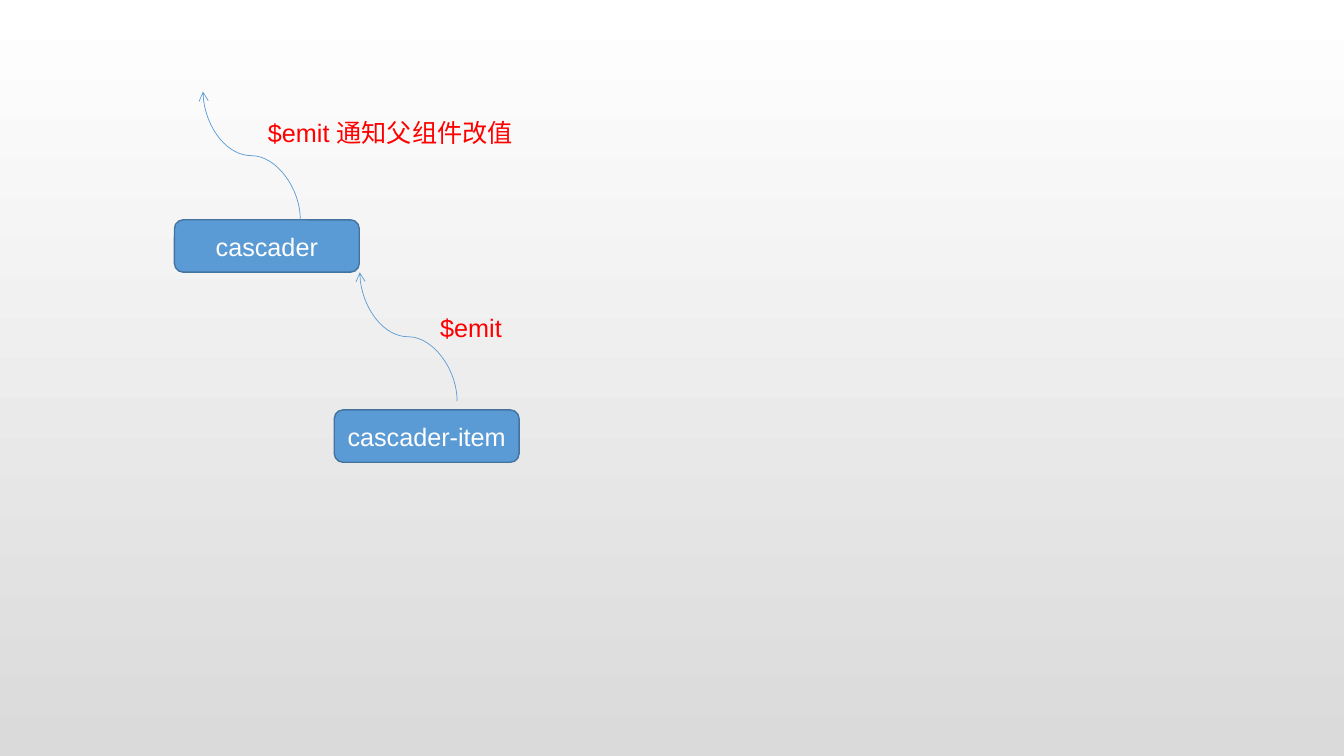
from dataclasses import dataclass

from lxml import etree
from pptx import Presentation
from pptx.dml.color import RGBColor
from pptx.enum.shapes import MSO_CONNECTOR, MSO_SHAPE
from pptx.enum.text import MSO_ANCHOR, MSO_AUTO_SIZE, PP_ALIGN
from pptx.oxml.ns import qn
from pptx.util import Pt

ROUNDED = MSO_SHAPE.ROUNDED_RECTANGLE
CURVE = MSO_CONNECTOR.CURVE
MIDDLE = MSO_ANCHOR.MIDDLE
GROW = MSO_AUTO_SIZE.SHAPE_TO_FIT_TEXT
CENTER, LEFT = PP_ALIGN.CENTER, PP_ALIGN.LEFT


@dataclass(frozen=True)
class Theme:
    """Colours and type of the slide."""
    font: str = "Arial"
    size: int = 18
    blue: RGBColor = RGBColor(0x5B, 0x9B, 0xD5)
    outline: RGBColor = RGBColor(0x43, 0x73, 0x9E)
    red: RGBColor = RGBColor(0xFF, 0, 0)
    white: RGBColor = RGBColor(0xFF, 0xFF, 0xFF)
    grey: RGBColor = RGBColor(0xDA, 0xDA, 0xDA)


THEME = Theme()


def write(frame, text, color, align):
    """Put one styled run into a text frame."""
    paragraph = frame.paragraphs[0]
    paragraph.alignment = align
    run = paragraph.add_run()
    run.text = text
    run.font.name = THEME.font
    run.font.size = Pt(THEME.size)
    run.font.color.rgb = color


def add_emit_arrow(shapes, start_x, start_y, end_x, end_y):
    """Draw a curved arrow that leaves and arrives vertically."""
    # The curve is laid out sideways around its centre, then turned upright.
    center_x, center_y = (start_x + end_x) / 2, (start_y + end_y) / 2
    half_run, half_rise = (start_y - end_y) / 2, (start_x - end_x) / 2
    arrow = shapes.add_connector(
        CURVE,
        Pt(center_x - half_run), Pt(center_y + half_rise),
        Pt(center_x + half_run), Pt(center_y - half_rise))
    arrow.line.color.rgb = THEME.blue
    arrow.line.width = Pt(0.5)
    properties = arrow._element.spPr
    properties.find(qn("a:xfrm")).set("rot", str(270 * 60000))
    etree.SubElement(properties.find(qn("a:ln")), qn("a:tailEnd"), type="arrow")
    etree.SubElement(properties, qn("a:effectLst"))


presentation = Presentation()
presentation.slide_width = Pt(960)
presentation.slide_height = Pt(540)
slide = presentation.slides.add_slide(presentation.slide_layouts[6])

backdrop = slide.background.fill
backdrop.gradient()
backdrop.gradient_angle = 270
for stop, color in zip(backdrop.gradient_stops, (THEME.white, THEME.grey)):
    stop.color.rgb = color

components = [("cascader", 124.6, 157), ("cascader-item", 238.8, 292.8)]
for name, left, top in components:
    component = slide.shapes.add_shape(
        ROUNDED, Pt(left), Pt(top), Pt(132), Pt(37.4))
    component.shadow.inherit = False
    component.fill.solid()
    component.fill.fore_color.rgb = THEME.blue
    component.line.color.rgb = THEME.outline
    component.line.width = Pt(1)
    component.text_frame.vertical_anchor = MIDDLE
    write(component.text_frame, name, THEME.white, CENTER)

for route in [(326.5, 286.6, 257, 194.6), (214.5, 157, 145, 65.5)]:
    add_emit_arrow(slide.shapes, *route)

events = [("$emit", 307.4, 219.6, 90.7), ("$emit 通知父组件改值", 184.3, 80.6, 197.3)]
for message, left, top, width in events:
    event = slide.shapes.add_textbox(Pt(left), Pt(top), Pt(width), Pt(28.8))
    event.text_frame.word_wrap = True
    event.text_frame.auto_size = GROW
    write(event.text_frame, message, THEME.red, LEFT)

presentation.save("out.pptx")
